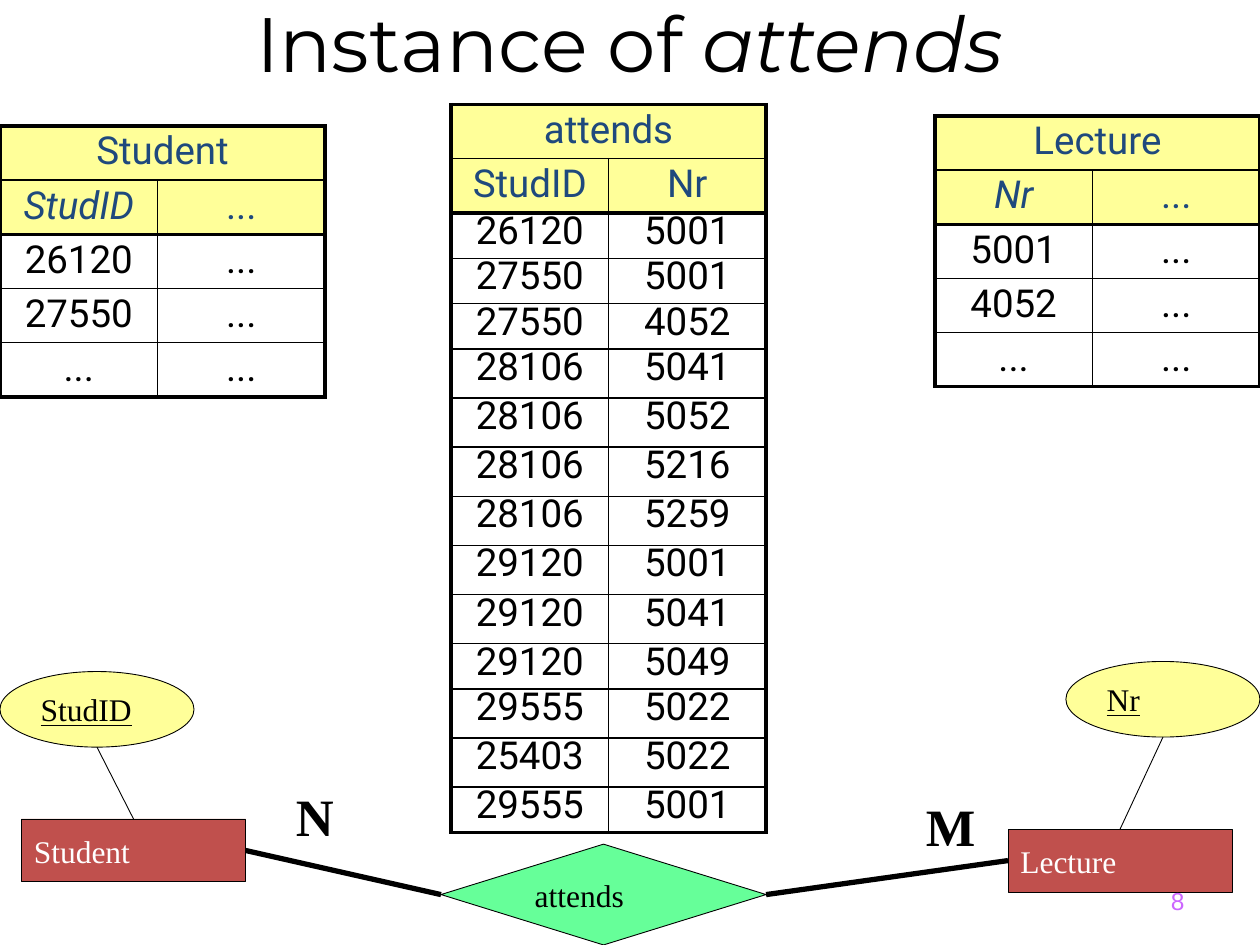
from dataclasses import dataclass

from lxml.etree import SubElement
from pptx import Presentation
from pptx.dml.color import RGBColor
from pptx.enum.shapes import MSO_CONNECTOR, MSO_SHAPE
from pptx.enum.text import MSO_ANCHOR, MSO_AUTO_SIZE, PP_ALIGN
from pptx.oxml.ns import qn
from pptx.util import Inches, Pt


@dataclass(frozen=True)
class Theme:
    black: str = "000000"
    white: str = "FFFFFF"
    heading: str = "1F497D"
    yellow: str = "FFFF99"
    red: str = "C0504D"
    green: str = "66FF99"
    violet: str = "CC66FF"
    title_font: str = "Montserrat"
    table_font: str = "Roboto"
    diagram_font: str = "Times New Roman"
    number_font: str = "Arial"
    title_size: float = 44
    table_size: float = 22
    diagram_size: float = 18
    label_size: float = 30
    number_size: float = 14
    thin: float = 0.5
    inner: float = 1
    outer: float = 2.25
    thick: float = 3


THEME = Theme()
ATTENDS = [
    ("26120", "5001"), ("27550", "5001"), ("27550", "4052"), ("28106", "5041"),
    ("28106", "5052"), ("28106", "5216"), ("28106", "5259"), ("29120", "5001"),
    ("29120", "5041"), ("29120", "5049"), ("29555", "5022"), ("25403", "5022"),
    ("29555", "5001"),
]
ATTENDS_HEIGHTS = [0.43] * 2 + [0.36] * 3 + [0.39] * 6 + [0.36, 0.39, 0.39, 0.36]


def write(p, text, font=THEME.diagram_font, size=THEME.diagram_size, color=THEME.black,
          align=PP_ALIGN.LEFT, bold=False, italic=False, underline=False):
    """Add one formatted run to a paragraph."""
    p.alignment = align
    r = p.add_run()
    r.text = text
    r.font.name = font
    r.font.size = Pt(size)
    r.font.bold = bold
    r.font.italic = italic
    r.font.underline = underline
    r.font.color.rgb = RGBColor.from_string(color)


def set_title(slide):
    title = slide.shapes.title
    title.left, title.top = Inches(0), Inches(-0.17)
    title.width, title.height = Inches(10), Inches(1)
    tf = title.text_frame
    tf.auto_size = MSO_AUTO_SIZE.NONE
    tf.vertical_anchor = MSO_ANCHOR.MIDDLE
    for text, italic in (("Instance of ", False), ("attends", True)):
        write(tf.paragraphs[0], text, font=THEME.title_font, size=THEME.title_size,
              align=PP_ALIGN.CENTER, italic=italic)


def set_borders(cell, widths):
    """Draw the left, right, top and bottom borders, ahead of the cell's fill."""
    tc_pr = cell._tc.get_or_add_tcPr()
    for i, (side, width) in enumerate(zip("LRTB", widths)):
        ln = SubElement(tc_pr, qn(f"a:ln{side}"), w=str(Pt(width)))
        fill = SubElement(ln, qn("a:solidFill"))
        SubElement(fill, qn("a:srgbClr"), val=THEME.black)
        tc_pr.insert(i, ln)


def fill_cell(cell, text, is_header, italic, line_spacing):
    cell.margin_left = cell.margin_right = Inches(0)
    cell.margin_top = cell.margin_bottom = Inches(0.05)
    if is_header:
        cell.fill.solid()
        cell.fill.fore_color.rgb = RGBColor.from_string(THEME.yellow)
    else:
        cell.fill.background()
    p = cell.text_frame.paragraphs[0]
    p.line_spacing = line_spacing
    before = SubElement(p._p.get_or_add_pPr(), qn("a:spcBef"))
    SubElement(before, qn("a:spcPct"), val="20000")
    if text:
        write(p, text, font=THEME.table_font, size=THEME.table_size,
              color=THEME.heading if is_header else THEME.black,
              align=PP_ALIGN.CENTER, italic=italic)


def add_relation(slide, name, columns, records, left, top, widths, heights,
                 line_spacing=0.9, key_column=None):
    """Add a table with a merged name row, a row of column names and the records."""
    rows = [(name, ""), columns, *records]
    table = slide.shapes.add_table(len(rows), len(widths), Inches(left), Inches(top),
                                   Inches(sum(widths)), Inches(sum(heights))).table
    table.first_row = table.horz_banding = False
    for column, width in zip(table.columns, widths):
        column.width = Inches(width)
    for row, height in zip(table.rows, heights):
        row.height = Inches(height)
    table.cell(0, 0).merge(table.cell(0, 1))

    heavy_rules = {0, 2, len(rows)}
    for i, row in enumerate(rows):
        is_header = i < 2
        for j, text in enumerate(row):
            cell = table.cell(i, j)
            fill_cell(cell, text, is_header, i == 1 and j == key_column,
                      0.9 if is_header else line_spacing)
            heavy = (j == 0, j == 1 or i == 0, i in heavy_rules, i + 1 in heavy_rules)
            set_borders(cell, [THEME.outer if h else THEME.inner for h in heavy])


def add_node(slide, kind, text, left, top, width, height, fill, **text_format):
    sp = slide.shapes.add_shape(kind, Inches(left), Inches(top), Inches(width), Inches(height))
    sp.shadow.inherit = False
    sp.fill.solid()
    sp.fill.fore_color.rgb = RGBColor.from_string(fill)
    sp.line.color.rgb = RGBColor.from_string(THEME.black)
    sp.line.width = Pt(THEME.thin)
    tf = sp.text_frame
    tf.word_wrap = False
    tf.vertical_anchor = MSO_ANCHOR.MIDDLE
    write(tf.paragraphs[0], text, **text_format)
    return sp


def add_entity(slide, text, left, top):
    return add_node(slide, MSO_SHAPE.RECTANGLE, text, left, top, 1.78, 0.5,
                    THEME.red, color=THEME.white)


def add_key(slide, text, left, top):
    return add_node(slide, MSO_SHAPE.OVAL, text, left, top, 1.54, 0.6,
                    THEME.yellow, underline=True)


def point(sp, x, y):
    """Return the point at fractions x and y of a shape's box."""
    return sp.left + int(sp.width * x), sp.top + int(sp.height * y)


def add_line(slide, start, end, width):
    line = slide.shapes.add_connector(MSO_CONNECTOR.STRAIGHT, *start, *end)
    line.line.color.rgb = RGBColor.from_string(THEME.black)
    line.line.width = Pt(width)
    SubElement(line._element.spPr, qn("a:effectLst"))


def add_label(slide, text, left, top, width, height, wrap=False,
              anchor=MSO_ANCHOR.TOP, **text_format):
    box = slide.shapes.add_textbox(Inches(left), Inches(top), Inches(width), Inches(height))
    tf = box.text_frame
    tf.word_wrap = wrap
    tf.auto_size = MSO_AUTO_SIZE.NONE if wrap else MSO_AUTO_SIZE.SHAPE_TO_FIT_TEXT
    tf.vertical_anchor = anchor
    write(tf.paragraphs[0], text, **text_format)


def add_diagram(slide):
    student = add_entity(slide, "Student", 0.17, 6.5)
    attends = add_node(slide, MSO_SHAPE.DIAMOND, "attends", 3.5, 6.7, 2.58, 0.8, THEME.green)
    lecture = add_entity(slide, "Lecture", 8, 6.58)
    add_line(slide, point(student, 1, 0.5), point(attends, 0, 0.5), THEME.thick)
    add_line(slide, point(attends, 1, 0.5), point(lecture, 0, 0.5), THEME.thick)
    add_label(slide, "M", 7.25, 6.25, 0.6, 0.6, size=THEME.label_size, bold=True)
    add_label(slide, "N", 2.25, 6.17, 0.5, 0.6, size=THEME.label_size, bold=True)
    for entity, key in ((student, add_key(slide, "StudID", 0, 5.33)),
                        (lecture, add_key(slide, "Nr", 8.46, 5.25))):
        add_line(slide, point(entity, 0.5, 0), point(key, 0.5, 1), THEME.thin)


def main():
    prs = Presentation()
    prs.slide_width, prs.slide_height = Inches(10), Inches(7.5)
    slide = prs.slides.add_slide(prs.slide_layouts[5])
    set_title(slide)
    add_relation(slide, "Student", ("StudID", "..."),
                 [("26120", "..."), ("27550", "..."), ("...", "...")],
                 0, 1, [1.25, 1.33], [0.43] * 5, key_column=0)
    add_relation(slide, "attends", ("StudID", "Nr"), ATTENDS,
                 3.58, 0.83, [1.25, 1.25], ATTENDS_HEIGHTS, line_spacing=0.7)
    add_relation(slide, "Lecture", ("Nr", "..."),
                 [("5001", "..."), ("4052", "..."), ("...", "...")],
                 7.42, 0.92, [1.25, 1.33], [0.43] * 5, key_column=0)
    add_diagram(slide)
    add_label(slide, "8", 7.17, 6.95, 2.33, 0.4, wrap=True, anchor=MSO_ANCHOR.MIDDLE,
              font=THEME.number_font, size=THEME.number_size, color=THEME.violet,
              align=PP_ALIGN.RIGHT)
    prs.save("out.pptx")


if __name__ == "__main__":
    main()
